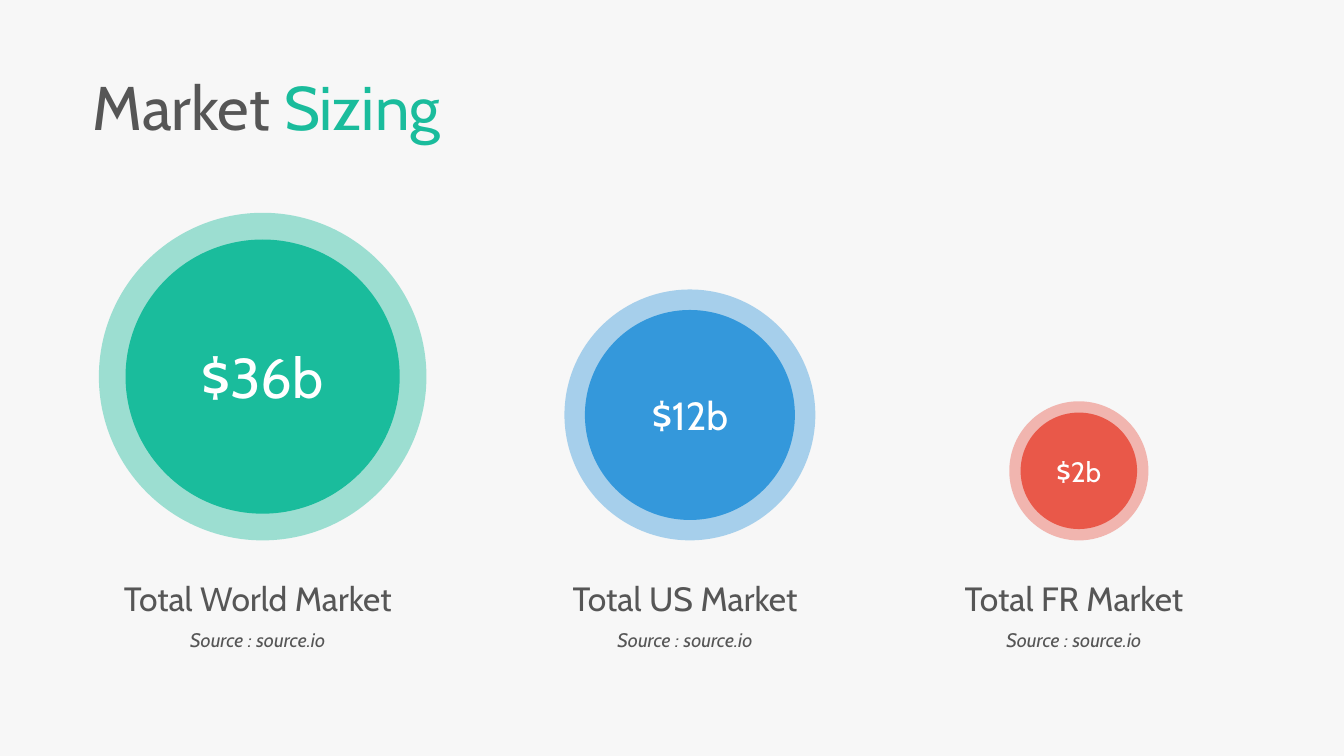
from pptx import Presentation
from pptx.dml.color import RGBColor
from pptx.enum.shapes import MSO_SHAPE
from pptx.enum.text import MSO_ANCHOR, MSO_AUTO_SIZE, PP_ALIGN
from pptx.oxml.ns import qn
from pptx.util import Pt
from lxml.etree import SubElement

COLORS = {"background": "F7F7F7", "text": "565656", "white": "FFFFFF",
          "green": "1ABC9C", "blue": "3498DB", "red": "E95849"}
FONT = "Cabin"
TITLE = [("Market ", "text"), ("Sizing", "green")]
SOURCE = "Source : source.io"
# label, value, color, center x, diameter, value size
MARKETS = [
    ("Total World Market", "$36b", "green", 187.6, 234, 40),
    ("Total US Market", "$12b", "blue", 492.8, 179.2, 28),
    ("Total FR Market", "$2b", "red", 770.6, 99.4, 20),
]
BASELINE = 386
CORE_RATIO = 0.837
HALO_OPACITY = 41
LABEL_WIDTH = 204


def rgb(name):
    return RGBColor.from_string(COLORS[name])


def write(tf, runs, size, align=PP_ALIGN.CENTER, spacing=1.0, italic=False):
    """Fill the first paragraph with (text, color) runs."""
    tf.word_wrap = True
    p = tf.paragraphs[0]
    p.alignment, p.line_spacing, p.space_before = align, spacing, Pt(0)
    for text, color in runs:
        r = p.add_run()
        r.text = text
        r.font.name, r.font.size, r.font.italic = FONT, Pt(size), italic
        r.font.color.rgb = rgb(color)


def set_margins(tf):
    tf.margin_left, tf.margin_right = Pt(0), Pt(7.2)
    tf.margin_top = tf.margin_bottom = Pt(3.6)


def add_circle(shapes, cx, cy, diameter, color, opacity=100):
    sp = shapes.add_shape(MSO_SHAPE.OVAL, Pt(cx - diameter / 2),
                          Pt(cy - diameter / 2), Pt(diameter), Pt(diameter))
    sp.shadow.inherit = False
    sp.line.fill.background()
    sp.fill.solid()
    sp.fill.fore_color.rgb = rgb(color)
    if opacity < 100:
        clr = sp.fill._xPr.find(qn("a:solidFill"))[0]
        SubElement(clr, qn("a:alpha")).set("val", str(opacity * 1000))
    return sp


def add_label(s, text, cx, top, height, size, italic=False):
    sp = s.shapes.add_textbox(Pt(cx - LABEL_WIDTH / 2), Pt(top),
                              Pt(LABEL_WIDTH), Pt(height))
    set_margins(sp.text_frame)
    write(sp.text_frame, [(text, "text")], size, spacing=1.2, italic=italic)


def add_market(s, label, value, color, cx, diameter, value_size):
    cy = BASELINE - diameter / 2
    group = s.shapes.add_group_shape()
    add_circle(group.shapes, cx, cy, diameter, color, HALO_OPACITY)
    core = add_circle(group.shapes, cx, cy, diameter * CORE_RATIO, color)
    core.text_frame.vertical_anchor = MSO_ANCHOR.MIDDLE
    write(core.text_frame, [(value, "white")], value_size)
    add_label(s, label, cx, 403.2, 42.5, 24)
    add_label(s, SOURCE, cx, 441.4, 26, 14, italic=True)


def main():
    prs = Presentation()
    prs.slide_width, prs.slide_height = Pt(960), Pt(540)
    s = prs.slides.add_slide(prs.slide_layouts[5])
    s.background.fill.solid()
    s.background.fill.fore_color.rgb = rgb("background")

    title = s.shapes.title
    title.left, title.top, title.width, title.height = Pt(66.2), Pt(51.8), Pt(352.8), Pt(55.4)
    tf = title.text_frame
    tf.auto_size = MSO_AUTO_SIZE.NONE
    tf.vertical_anchor = MSO_ANCHOR.TOP
    set_margins(tf)
    write(tf, TITLE, 44, align=PP_ALIGN.LEFT, spacing=0.9)

    for market in MARKETS:
        add_market(s, *market)
    prs.save("out.pptx")


if __name__ == "__main__":
    main()
